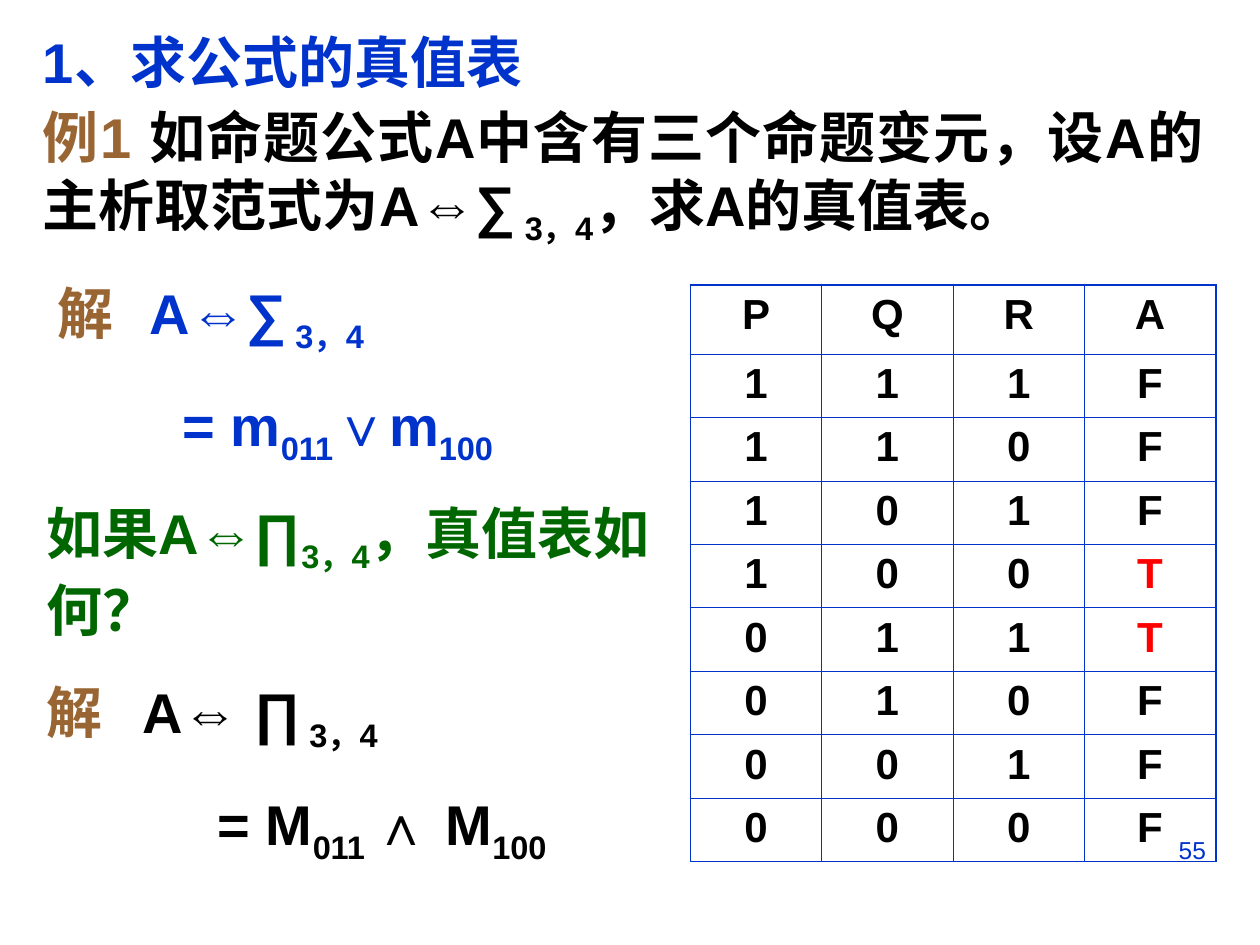
from lxml import etree
from pptx import Presentation
from pptx.dml.color import RGBColor
from pptx.enum import text
from pptx.oxml.ns import qn
from pptx.util import Inches, Pt

THEME = {
    "font": "Arial", "body": 32, "cell": 24, "number": 14,
    "blue": "0033CC", "brown": "996633", "black": "000000",
    "green": "006600", "red": "FF0000",
    "inner line": 0.45, "outer line": 1.08,
}

# Runs are (text, colour) or (text, colour, "sub"); margin and first are inches.
PROBLEM = [
    {"runs": [("1、求公式的真值表", "blue")], "line": 0.95},
    {"runs": [("例1 ", "brown"),
              ("如命题公式A中含有三个命题变元，设A的主析取范式为A⇔∑", "black"),
              (" 3，4", "black", "sub"), ("，求A的真值表。", "black")],
     "line": 0.95, "before": 6},
    {"runs": [("解\t", "brown"), ("A⇔∑", "blue"), (" 3，4", "blue", "sub")],
     "before": 20, "margin": 0.85, "first": -0.73},
    {"runs": [("= m", "blue"), ("011", "blue", "sub"),
              ("∨m", "blue"), ("100", "blue", "sub")],
     "before": 20, "margin": 1.11},
]
FOLLOW_UP = [
    {"runs": [("如果A⇔∏", "green"), ("3，4", "green", "sub"),
              ("，真值表如何？", "green")]},
    {"runs": [("解\t", "brown"), ("A⇔ ∏", "black"), (" 3，4", "black", "sub")],
     "before": 20, "margin": 0.76, "first": -0.76},
    {"runs": [("= M", "black"), ("011 ", "black", "sub"),
              ("∧ M", "black"), ("100", "black", "sub")],
     "before": 20, "margin": 1.36},
]
TRUTH_TABLE = ["PQRA", "111F", "110F", "101F", "100T",
               "011T", "010F", "001F", "000F"]
PAGE_NUMBER = "55"

PROBLEM_BOX = (0.24, 0.21, 9.41, 5.97)
FOLLOW_UP_BOX = (0.27, 3.91, 5, 3.01)
TABLE_BOX = (5.48, 2.26, 4.17, 4.58)
NUMBER_BOX = (7.17, 6.58, 2.5, 0.52)
HEADER_HEIGHT = 0.55


def inches(box):
    return [Inches(length) for length in box]


def style(font, size, color, bold=True):
    font.name = THEME["font"]
    font.size = Pt(THEME[size])
    font.bold = bold
    font.color.rgb = RGBColor.from_string(THEME[color])


def write(shape, paragraphs, alignment):
    frame = shape.text_frame
    frame.word_wrap = True
    frame.auto_size = text.MSO_AUTO_SIZE.NONE
    for index, item in enumerate(paragraphs):
        paragraph = frame.add_paragraph() if index else frame.paragraphs[0]
        properties = paragraph._p.get_or_add_pPr()
        properties.set("marL", str(Inches(item.get("margin", 0))))
        properties.set("indent", str(Inches(item.get("first", 0))))
        etree.SubElement(properties, qn("a:buNone"))
        paragraph.alignment = alignment
        paragraph.line_spacing = item.get("line", 1.0)
        paragraph.space_before = Pt(item.get("before", 0))
        for words, color, *subscript in item["runs"]:
            run = paragraph.add_run()
            run.text = words
            style(run.font, "body", color)
            if subscript:
                run._r.get_or_add_rPr().set("baseline", "-25000")


def set_borders(cell, outer_sides):
    properties = cell._tc.get_or_add_tcPr()
    for position, side in enumerate("LRTB"):
        width = THEME["outer line" if side in outer_sides else "inner line"]
        line = etree.Element(qn("a:ln" + side), w=str(Pt(width)))
        fill = etree.SubElement(line, qn("a:solidFill"))
        etree.SubElement(fill, qn("a:srgbClr"), val=THEME["blue"])
        properties.insert(position, line)


def add_truth_table(slide):
    row_count, column_count = len(TRUTH_TABLE), len(TRUTH_TABLE[0])
    table = slide.shapes.add_table(row_count, column_count, *inches(TABLE_BOX)).table
    row_height = (TABLE_BOX[3] - HEADER_HEIGHT) / (row_count - 1)
    for r, values in enumerate(TRUTH_TABLE):
        table.rows[r].height = Inches(row_height if r else HEADER_HEIGHT)
        for c, value in enumerate(values):
            cell = table.cell(r, c)
            cell.fill.background()
            edges = {"L": c == 0, "R": c == column_count - 1,
                     "T": r == 0, "B": r == row_count - 1}
            set_borders(cell, [side for side, outer in edges.items() if outer])
            cell.text_frame.text = value
            paragraph = cell.text_frame.paragraphs[0]
            paragraph.alignment = text.PP_ALIGN.CENTER
            style(paragraph.runs[0].font, "cell", "red" if value == "T" else "black")


def main():
    presentation = Presentation()
    presentation.slide_width, presentation.slide_height = Inches(10), Inches(7.5)
    slide = presentation.slides.add_slide(presentation.slide_layouts[1])
    title = slide.shapes.title._element
    title.getparent().remove(title)

    number = slide.shapes.add_textbox(*inches(NUMBER_BOX))
    number.text_frame.word_wrap = True
    number.text_frame.text = PAGE_NUMBER
    paragraph = number.text_frame.paragraphs[0]
    paragraph.alignment = text.PP_ALIGN.RIGHT
    style(paragraph.runs[0].font, "number", "blue", bold=False)

    problem = slide.placeholders[1]
    problem.left, problem.top, problem.width, problem.height = inches(PROBLEM_BOX)
    write(problem, PROBLEM, text.PP_ALIGN.JUSTIFY)
    add_truth_table(slide)
    follow_up = slide.shapes.add_textbox(*inches(FOLLOW_UP_BOX))
    write(follow_up, FOLLOW_UP, text.PP_ALIGN.LEFT)

    presentation.save("out.pptx")


if __name__ == "__main__":
    main()
